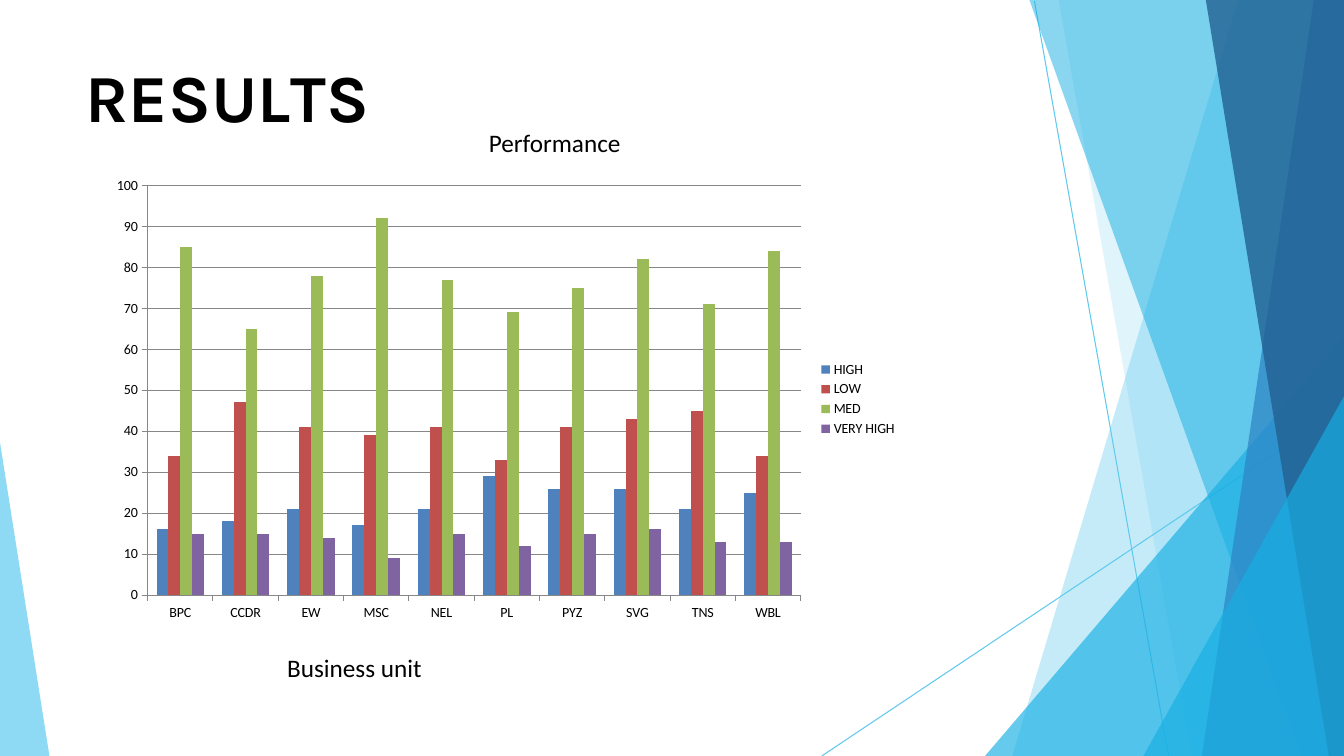
from lxml.etree import SubElement
from pptx import Presentation
from pptx.chart.data import CategoryChartData
from pptx.dml.color import RGBColor
from pptx.enum.chart import XL_CHART_TYPE, XL_LEGEND_POSITION, XL_TICK_MARK
from pptx.enum.shapes import MSO_CONNECTOR
from pptx.enum.text import MSO_AUTO_SIZE
from pptx.oxml.ns import qn
from pptx.util import Inches, Pt

BLACK = RGBColor(0x00, 0x00, 0x00)
GRAY = RGBColor(0x87, 0x87, 0x87)
SKY = RGBColor(0x5F, 0xCA, 0xEE)
CYAN = RGBColor(0x17, 0xAF, 0xE3)
BLUE = RGBColor(0x2D, 0x83, 0xC3)
NAVY = RGBColor(0x22, 0x61, 0x92)

WIDTH, HEIGHT = 13.33, 7.5

RAYS = [
    ((10.26, 0.01), (11.59, HEIGHT)),
    ((WIDTH, 4.04), (8.15, HEIGHT)),
]
FACETS = [
    (12.28, 0, 10.04, SKY, 36),
    (10.5, 0, 11.82, SKY, 20),
    (WIDTH, 3.33, 9.77, CYAN, 66),
    (10.21, 0, 12.91, CYAN, 50),
    (13.03, 0, 11.92, BLUE, 70),
    (11.96, 0, 13.18, NAVY, 80),
    (WIDTH, 3.93, 11.34, CYAN, 66),
]

UNITS = ["BPC", "CCDR", "EW", "MSC", "NEL", "PL", "PYZ", "SVG", "TNS", "WBL"]
SERIES = [
    ("HIGH", RGBColor(0x4F, 0x81, 0xBD), [16, 18, 21, 17, 21, 29, 26, 26, 21, 25]),
    ("LOW", RGBColor(0xC0, 0x50, 0x4D), [34, 47, 41, 39, 41, 33, 41, 43, 45, 34]),
    ("MED", RGBColor(0x9B, 0xBB, 0x59), [85, 65, 78, 92, 77, 69, 75, 82, 71, 84]),
    ("VERY HIGH", RGBColor(0x80, 0x64, 0xA2), [15, 15, 14, 9, 15, 12, 15, 16, 13, 13]),
]
TITLE_RUNS = [("R", 0), ("E", -40), ("S", 10), ("U", -30), ("L", -400), ("TS", 0)]


def add_ray(slide, start, end):
    ray = slide.shapes.add_connector(
        MSO_CONNECTOR.STRAIGHT, *[Inches(v) for v in start + end])
    ray.line.color.rgb = SKY
    ray.line.width = Pt(0.75)
    SubElement(ray._element.spPr, qn("a:effectLst"))


def add_facet(slide, points, color, opacity):
    corners = [(Inches(x), Inches(y)) for x, y in points]
    builder = slide.shapes.build_freeform(*corners[0])
    builder.add_line_segments(corners[1:], close=True)
    sp = builder.convert_to_shape()
    sp.shadow.inherit = False
    sp.line.fill.background()
    sp.fill.solid()
    sp.fill.fore_color.rgb = color
    clr = sp._element.spPr.find(qn("a:solidFill")).find(qn("a:srgbClr"))
    SubElement(clr, qn("a:alpha"), val=str(opacity * 1000))


def add_backdrop(slide, width, height):
    for start, end in RAYS:
        add_ray(slide, start, end)
    for top_x, top_y, bottom_x, color, opacity in FACETS:
        points = [(top_x, top_y), (bottom_x, height), (width, height)]
        if top_x < width:
            points.append((width, top_y))
        add_facet(slide, points, color, opacity)
    add_facet(slide, [(0, 4.39), (0, height), (0.49, height)], SKY, 70)


def add_chart(slide, left, top, width, height):
    data = CategoryChartData()
    data.categories = UNITS
    for name, _, values in SERIES:
        data.add_series(name, values)
    chart = slide.shapes.add_chart(
        XL_CHART_TYPE.COLUMN_CLUSTERED, Inches(left), Inches(top),
        Inches(width), Inches(height), data).chart
    chart.has_title = False
    chart.font.name = "Calibri"
    chart.font.size = Pt(10)
    chart.font.color.rgb = BLACK
    chart.has_legend = True
    chart.legend.position = XL_LEGEND_POSITION.RIGHT
    chart.legend.include_in_layout = False
    plot = chart.plots[0]
    plot.gap_width = 150
    plot.overlap = 0
    plot.vary_by_categories = False
    for series, (_, color, _) in zip(plot.series, SERIES):
        series.format.fill.solid()
        series.format.fill.fore_color.rgb = color
    for axis in (chart.category_axis, chart.value_axis):
        axis.major_tick_mark = XL_TICK_MARK.OUTSIDE
        axis.minor_tick_mark = XL_TICK_MARK.NONE
        axis.format.line.color.rgb = GRAY
    value_axis = chart.value_axis
    value_axis.minimum_scale = 0
    value_axis.maximum_scale = 100
    value_axis.major_unit = 10
    value_axis.has_major_gridlines = True
    value_axis.major_gridlines.format.line.color.rgb = GRAY


def add_text(slide, left, top, width, height, runs, font, size, bold=False):
    tf = slide.shapes.add_textbox(
        Inches(left), Inches(top), Inches(width), Inches(height)).text_frame
    tf.word_wrap = True
    tf.auto_size = MSO_AUTO_SIZE.SHAPE_TO_FIT_TEXT
    p = tf.paragraphs[0]
    p.font.name = font
    p.font.size = Pt(size)
    p.font.bold = bold
    p.font.color.rgb = BLACK
    for text, spacing in runs:
        r = p.add_run()
        r.text = text
        if spacing:
            r._r.get_or_add_rPr().set("spc", str(spacing))


def build_results(slide):
    add_backdrop(slide, WIDTH, HEIGHT)
    add_chart(slide, 1, 1.67, 8, 4.58)
    add_text(slide, 0.75, 0.5, 5.33, 0.91, TITLE_RUNS, "Karla", 48, True)
    add_text(slide, 4.75, 1.21, 3, 0.4, [("Performance", 0)], "Calibri", 18)
    add_text(slide, 2.75, 6.42, 3.5, 0.4, [("Business unit", 0)], "Calibri", 18)


def main():
    prs = Presentation()
    prs.slide_width = Inches(WIDTH)
    prs.slide_height = Inches(HEIGHT)
    build_results(prs.slides.add_slide(prs.slide_layouts[6]))
    prs.save("out.pptx")


if __name__ == "__main__":
    main()
